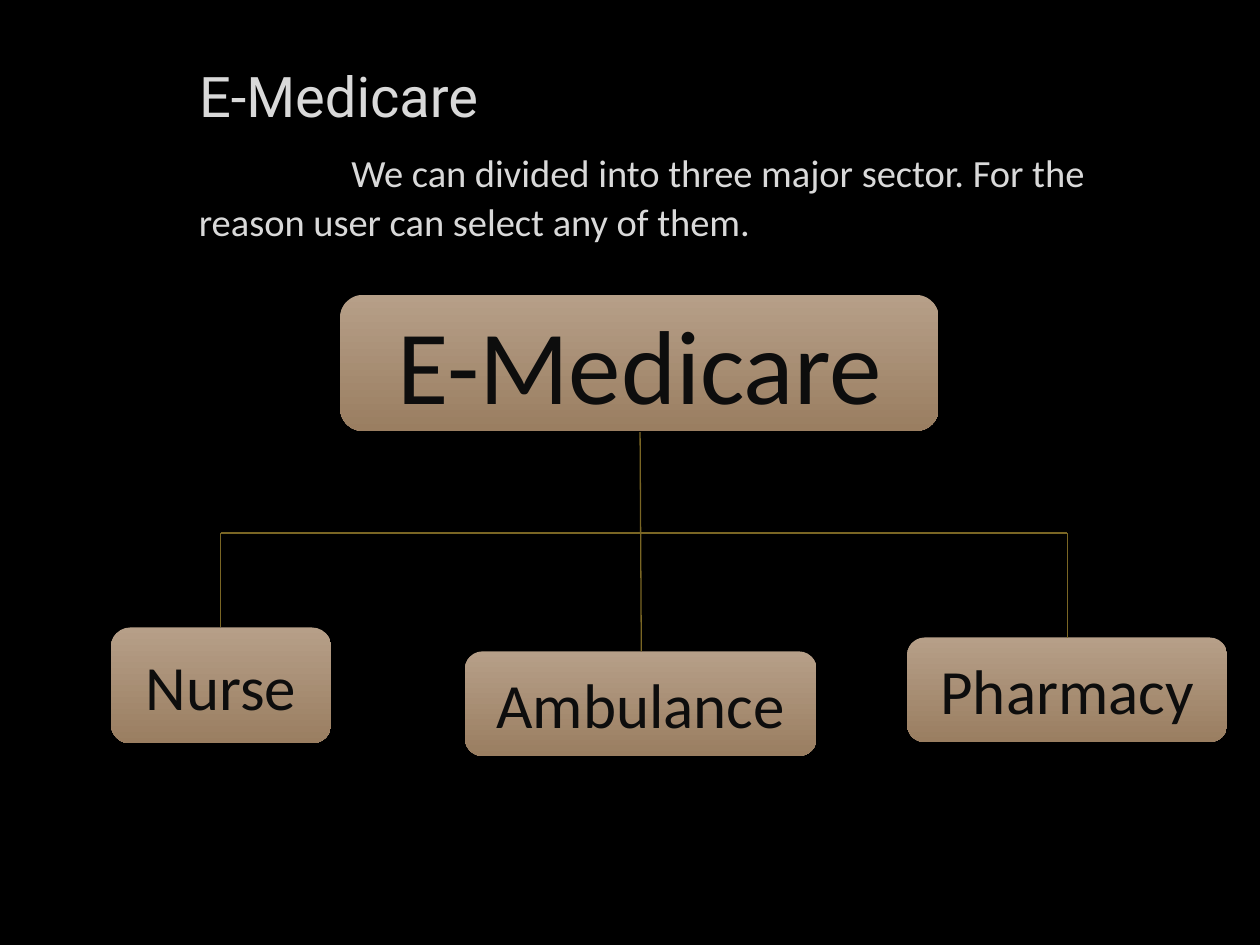
from lxml import etree
from pptx import Presentation
from pptx.dml.color import RGBColor
from pptx.enum.shapes import MSO_CONNECTOR as Connector, MSO_SHAPE as Shape
from pptx.enum.text import MSO_ANCHOR as Anchor, MSO_AUTO_SIZE as AutoSize, PP_ALIGN as Align
from pptx.oxml.ns import qn
from pptx.util import Inches, Pt

BLACK = RGBColor(0x00, 0x00, 0x00)
LIGHT_GRAY = RGBColor(0xD9, 0xD9, 0xD9)
DARK_TEXT = RGBColor(0x0D, 0x0D, 0x0D)
BOX_TOP = RGBColor(0xB6, 0x9F, 0x88)
BOX_BOTTOM = RGBColor(0x9A, 0x7E, 0x61)
LINE_GOLD = RGBColor(0x7A, 0x66, 0x24)


def add_run(paragraph, text, font_name, size, color):
    run = paragraph.add_run()
    run.text = text
    run.font.name = font_name
    run.font.size = Pt(size)
    run.font.color.rgb = color


presentation = Presentation()
presentation.slide_width = Inches(10)
presentation.slide_height = Inches(7.5)
slide = presentation.slides.add_slide(presentation.slide_layouts[5])
slide.background.fill.solid()
slide.background.fill.fore_color.rgb = BLACK

boxes = [
    ("Nurse", 0.88, 4.98, 1.75, 0.92, 36),
    ("Ambulance", 3.69, 5.17, 2.79, 0.83, 36),
    ("Pharmacy", 7.2, 5.06, 2.54, 0.83, 36),
    ("E-Medicare", 2.7, 2.34, 4.75, 1.08, 60),
]
for label, left, top, width, height, size in boxes:
    box = slide.shapes.add_shape(
        Shape.ROUNDED_RECTANGLE, Inches(left), Inches(top), Inches(width), Inches(height)
    )
    box.shadow.inherit = False
    box.line.fill.background()
    box.fill.gradient()
    box.fill.gradient_angle = 270
    for stop, color in zip(box.fill.gradient_stops, (BOX_TOP, BOX_BOTTOM)):
        stop.color.rgb = color
    box.text_frame.vertical_anchor = Anchor.MIDDLE
    paragraph = box.text_frame.paragraphs[0]
    paragraph.alignment = Align.CENTER
    add_run(paragraph, label, "Calibri", size, DARK_TEXT)

branch_y = 4.23
nurse_x, pharmacy_x = 1.75, 8.47
lines = [
    (nurse_x, branch_y, nurse_x, 4.98),
    (pharmacy_x, branch_y, pharmacy_x, 5.06),
    (nurse_x, branch_y, pharmacy_x, branch_y),
    (5.09, 5.17, 5.08, 3.43),
]
for points in lines:
    connector = slide.shapes.add_connector(Connector.STRAIGHT, *map(Inches, points))
    connector.line.color.rgb = LINE_GOLD
    connector.line.width = Pt(0.75)
    etree.SubElement(connector._element.spPr, qn("a:effectLst"))

title = slide.shapes.title
title.left, title.top = Inches(1.48), Inches(0.44)
title.width, title.height = Inches(8.02), Inches(0.67)
title.text_frame.auto_size = AutoSize.NONE
title.text_frame.vertical_anchor = Anchor.TOP
paragraph = title.text_frame.paragraphs[0]
paragraph.alignment = Align.LEFT
add_run(paragraph, "E-Medicare", "Roboto", 32, LIGHT_GRAY)

intro = slide.shapes.add_textbox(Inches(1.48), Inches(1.11), Inches(8.02), Inches(0.88))
intro.text_frame.word_wrap = True
paragraph = intro.text_frame.paragraphs[0]
paragraph.line_spacing = Pt(28)
paragraph._p.get_or_add_pPr().set("indent", str(Inches(1.21)))
add_run(
    paragraph,
    "We can divided into three major sector. For the reason user can select any of them.",
    "Calibri",
    22,
    LIGHT_GRAY,
)

presentation.save("out.pptx")
